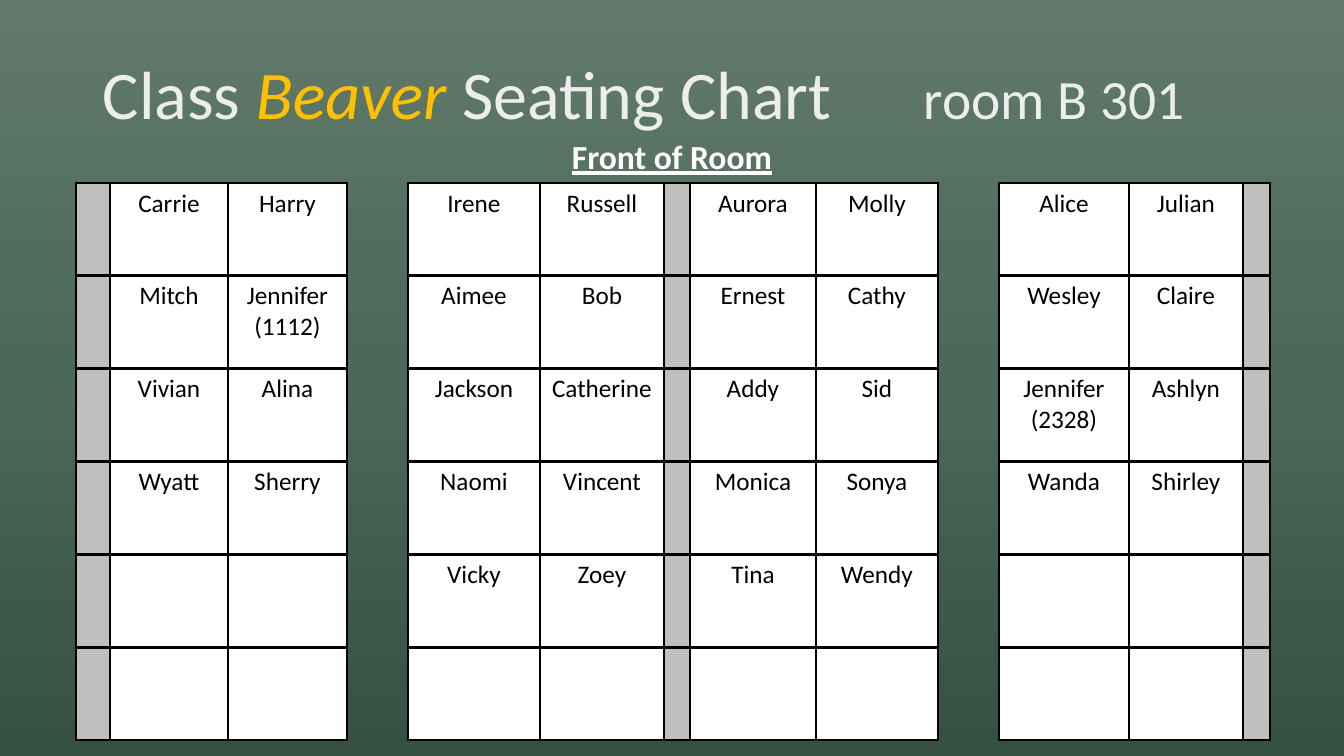
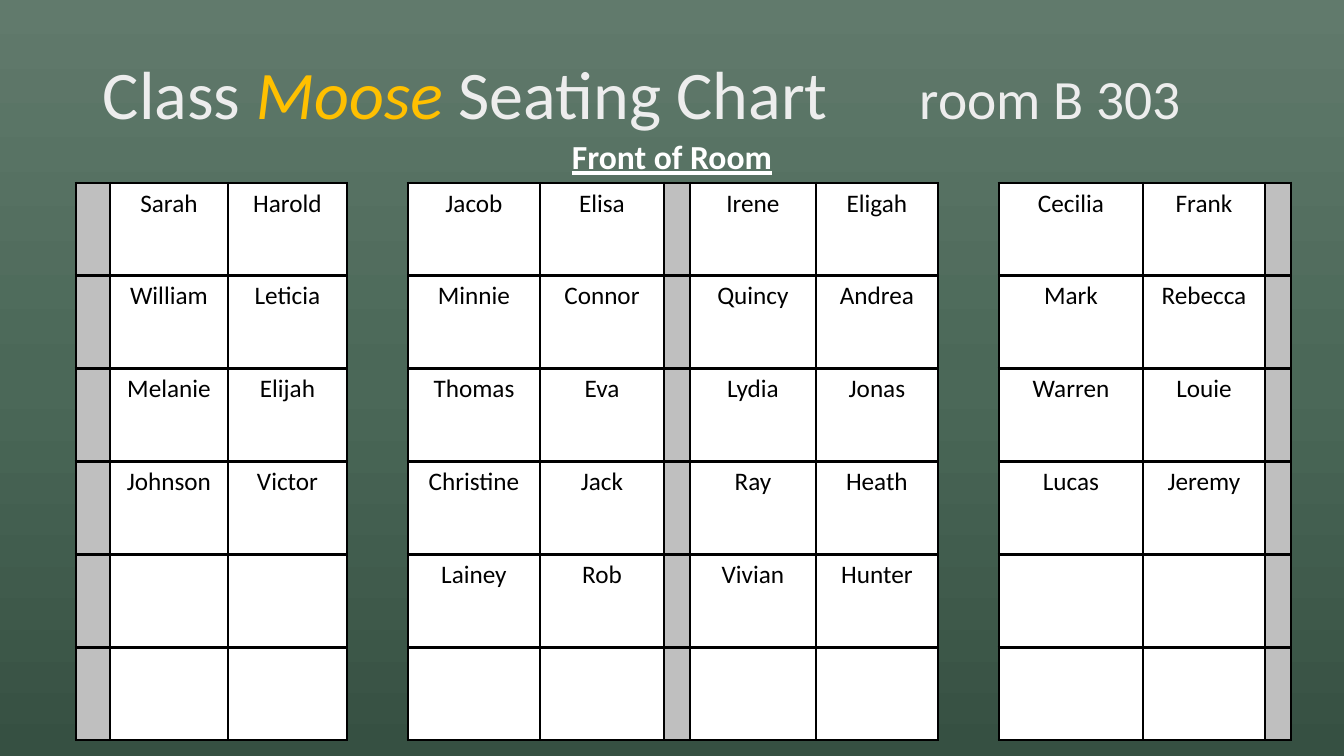
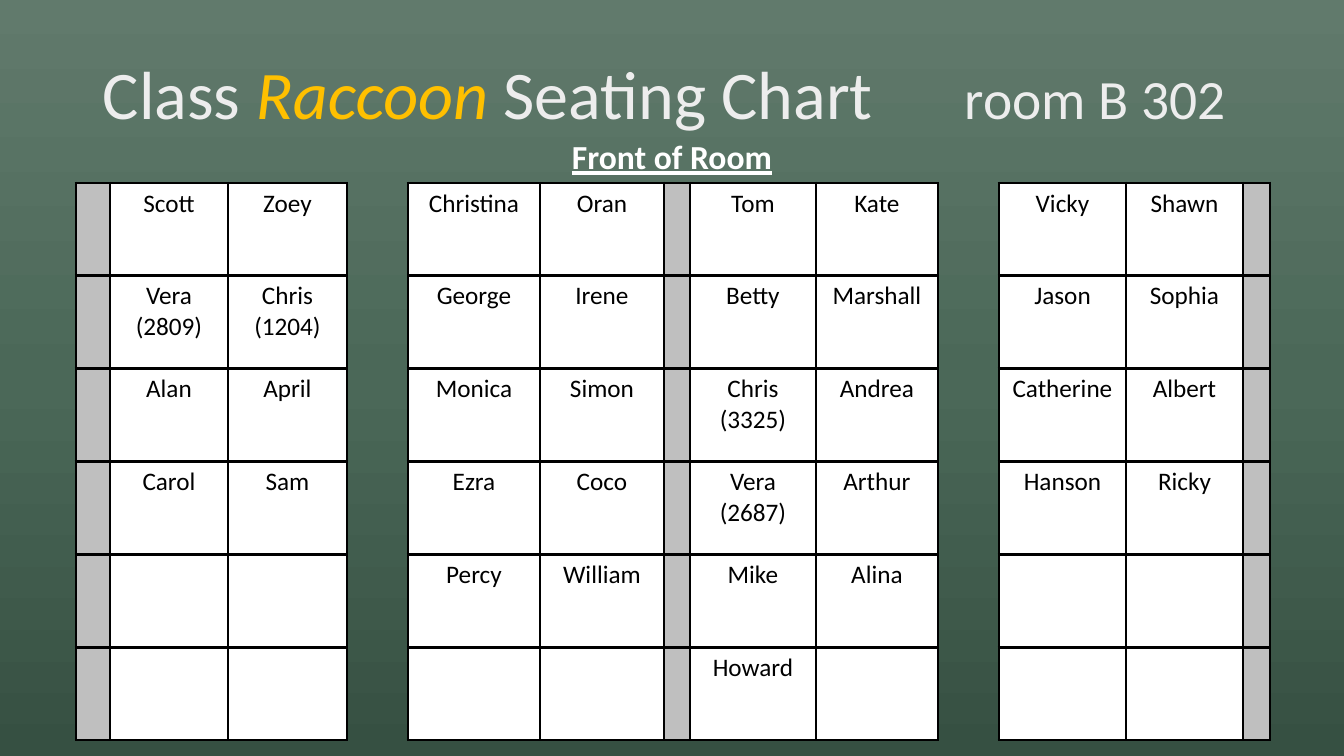
from lxml.etree import SubElement
from pptx import Presentation
from pptx.dml.color import RGBColor as RGB
from pptx.enum.text import MSO_ANCHOR as Anchor, MSO_AUTO_SIZE as AutoSize, PP_ALIGN as Align
from pptx.oxml import parse_xml
from pptx.oxml.ns import nsdecls, qn
from pptx.util import Pt

PX = 9071


class Theme:
    backdrop = ((0, "617A6C"), (50, "4B6858"), (100, "365042"))
    chalk = ((0, "BFBFBF"), (28, "EDEDED"), (100, "FFFFFF"))
    seat = RGB.from_string("FFFFFF")
    aisle = RGB.from_string("BFBFBF")
    border = "000000"
    border_width = Pt(2.25)
    heading = {"name": "Calibri", "size": Pt(48.6)}
    animal = {**heading, "italic": True, "color": "FFC000"}
    room = {**heading, "size": Pt(39.6)}
    student = {"name": "Calibri", "size": Pt(18), "color": "000000"}
    front = {"name": "Calibri", "size": Pt(24), "bold": True, "underline": True, "color": "FFFFFF"}


def set_gradient(fill, parent, stops, angle):
    fill.solid()
    marks = "".join(
        f'<a:gs pos="{at * 1000}"><a:srgbClr val="{color}"/></a:gs>' for at, color in stops
    )
    gradient = parse_xml(
        f'<a:gradFill {nsdecls("a")} rotWithShape="1"><a:gsLst>{marks}</a:gsLst>'
        f'<a:lin ang="{angle * 60000}" scaled="0"/></a:gradFill>'
    )
    parent.replace(parent.find(qn("a:solidFill")), gradient)


def style_run(run, look):
    for field, value in look.items():
        if field == "color":
            run.font.color.rgb = RGB.from_string(value)
        else:
            setattr(run.font, field, value)
    if "color" not in look:
        set_gradient(run.font.fill, run._r.rPr, Theme.chalk, 80)


classes = [
    {
        "animal": "Beaver", "room": "room B 301", "room_tab": 821, "right_widths": (130, 114, 27),
        "seats": [
            ("Carrie", "Harry", "Irene", "Russell", "Aurora", "Molly", "Alice", "Julian"),
            ("Mitch", "Jennifer\n(1112)", "Aimee", "Bob", "Ernest", "Cathy", "Wesley", "Claire"),
            ("Vivian", "Alina", "Jackson", "Catherine", "Addy", "Sid", "Jennifer\n(2328)", "Ashlyn"),
            ("Wyatt", "Sherry", "Naomi", "Vincent", "Monica", "Sonya", "Wanda", "Shirley"),
            ("", "", "Vicky", "Zoey", "Tina", "Wendy", "", ""),
            ("",) * 8,
        ],
    },
    {
        "animal": "Moose", "room": "room B 303", "room_tab": 817, "right_widths": (144, 122, 26),
        "seats": [
            ("Sarah", "Harold", "Jacob", "Elisa", "Irene", "Eligah", "Cecilia", "Frank"),
            ("William", "Leticia", "Minnie", "Connor", "Quincy", "Andrea", "Mark", "Rebecca"),
            ("Melanie", "Elijah", "Thomas", "Eva", "Lydia", "Jonas", "Warren", "Louie"),
            ("Johnson", "Victor", "Christine", "Jack", "Ray", "Heath", "Lucas", "Jeremy"),
            ("", "", "Lainey", "Rob", "Vivian", "Hunter", "", ""),
            ("",) * 8,
        ],
    },
    {
        "animal": "Raccoon", "room": "room B 302", "room_tab": 862, "right_widths": (127, 117, 27),
        "seats": [
            ("Scott", "Zoey", "Christina", "Oran", "Tom", "Kate", "Vicky", "Shawn"),
            ("Vera\n(2809)", "Chris\n(1204)", "George", "Irene", "Betty", "Marshall", "Jason", "Sophia"),
            ("Alan", "April", "Monica", "Simon", "Chris\n(3325)", "Andrea", "Catherine", "Albert"),
            ("Carol", "Sam", "Ezra", "Coco", "Vera\n(2687)", "Arthur", "Hanson", "Ricky"),
            ("", "", "Percy", "William", "Mike", "Alina", "", ""),
            ("", "", "", "", "Howard", "", "", ""),
        ],
    },
]

prs = Presentation()
prs.slide_width, prs.slide_height = 1344 * PX, 756 * PX
master = prs.slide_master
master.background.fill.solid()
set_gradient(master.background.fill, master.element.find(".//" + qn("p:bgPr")), Theme.backdrop, 90)

for group in classes:
    slide = prs.slides.add_slide(prs.slide_layouts[6])

    title = slide.shapes.add_textbox(93 * PX, 40 * PX, 1159 * PX, 115 * PX).text_frame
    title.word_wrap = True
    title.vertical_anchor = Anchor.MIDDLE
    heading = title.paragraphs[0]
    heading.line_spacing = 0.9
    tabs = SubElement(heading._p.get_or_add_pPr(), qn("a:tabLst"))
    SubElement(tabs, qn("a:tab"), pos=str(group["room_tab"] * PX), algn="l")
    for text, look in (
        ("Class ", Theme.heading),
        (group["animal"], Theme.animal),
        (" Seating Chart\t", Theme.heading),
        (group["room"], Theme.room),
    ):
        run = heading.add_run()
        run.text = text
        style_run(run, look)

    blocks = (
        (76, (34, 118, 119), (None, 0, 1)),
        (408, (132, 124, 26, 126, 122), (2, 3, None, 4, 5)),
        (999, group["right_widths"], (6, 7, None)),
    )
    for left, widths, columns in blocks:
        desks = slide.shapes.add_table(
            len(group["seats"]), len(widths), left * PX, 183 * PX, sum(widths) * PX, 557 * PX
        ).table
        desks.first_row = desks.horz_banding = False
        for column, width in zip(desks.columns, widths):
            column.width = width * PX
        for r, names in enumerate(group["seats"]):
            for c, seat in enumerate(columns):
                cell = desks.cell(r, c)
                for side in ("lnL", "lnR", "lnT", "lnB"):
                    edge = SubElement(
                        cell._tc.get_or_add_tcPr(), qn(f"a:{side}"), w=str(Theme.border_width)
                    )
                    ink = SubElement(edge, qn("a:solidFill"))
                    SubElement(ink, qn("a:srgbClr"), val=Theme.border)
                cell.fill.solid()
                cell.fill.fore_color.rgb = Theme.aisle if seat is None else Theme.seat
                if seat is None or not names[seat]:
                    continue
                cell.text_frame.text = names[seat]
                for line in cell.text_frame.paragraphs:
                    line.alignment = Align.CENTER
                    style_run(line.runs[0], Theme.student)

    front = slide.shapes.add_textbox(562 * PX, 131 * PX, 232 * PX, 50 * PX).text_frame
    front.word_wrap = False
    front.auto_size = AutoSize.SHAPE_TO_FIT_TEXT
    front.text = "Front of Room"
    style_run(front.paragraphs[0].runs[0], Theme.front)

prs.save("out.pptx")
